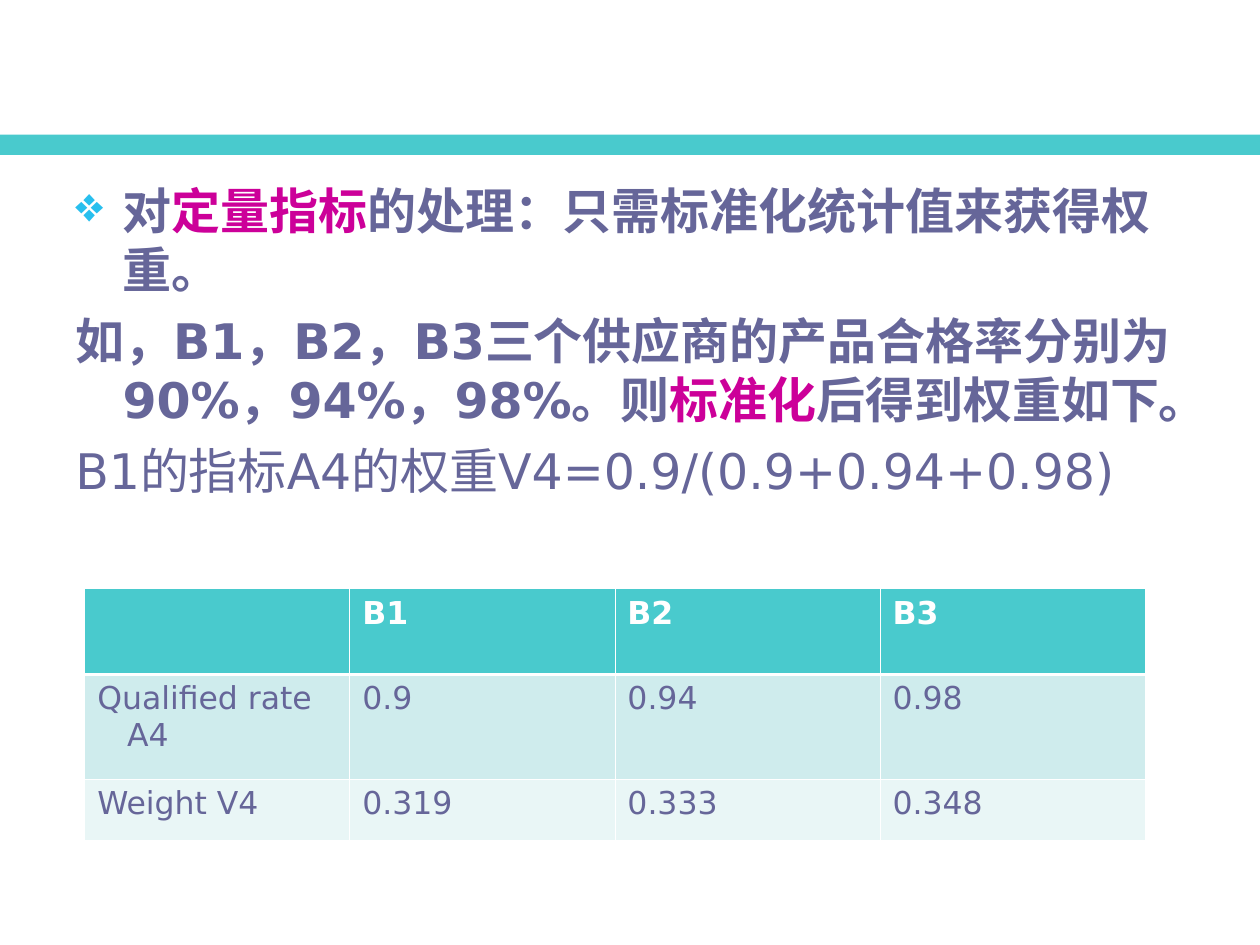
import dataclasses

import lxml.etree
import pptx
import pptx.dml.color
import pptx.enum.shapes
import pptx.oxml.ns
import pptx.util

Pt = pptx.util.Pt
qn = pptx.oxml.ns.qn


@dataclasses.dataclass(frozen=True)
class Theme:
    font: str = "DejaVu Sans"
    body: int = 28
    cell: int = 18
    ink: str = "666699"
    accent: str = "CC0099"
    teal: str = "49CACD"
    bullet: str = "28BFEE"
    white: str = "FFFFFF"
    bands: tuple = ("49CACD", "CFECED", "E9F6F6")
    thin: float = 0.45
    thick: float = 1.47


def rgb(color):
    return pptx.dml.color.RGBColor.from_string(color)


def add(parent, tag, **attrs):
    return lxml.etree.SubElement(parent, qn(tag), **attrs)


def add_color(parent, color):
    add(parent, "a:srgbClr", val=color)


class Painter:
    def __init__(self, slide, theme):
        self.slide = slide
        self.theme = theme

    def style(self, font, size, color, bold):
        font.name = self.theme.font
        font.size = Pt(size)
        font.color.rgb = rgb(color)
        font.bold = bold

    def hang(self, para, depth):
        props = para._p.get_or_add_pPr()
        props.set("marL", str(Pt(depth)))
        props.set("indent", str(-Pt(depth)))
        return props

    def bar(self, left, top, width, height):
        kind = pptx.enum.shapes.MSO_SHAPE.RECTANGLE
        shape = self.slide.shapes.add_shape(
            kind, Pt(left), Pt(top), Pt(width), Pt(height))
        shape.shadow.inherit = False
        shape.fill.solid()
        shape.fill.fore_color.rgb = rgb(self.theme.teal)
        shape.line.fill.background()

    def text(self, left, top, width, height, paras):
        box = self.slide.shapes.add_textbox(
            Pt(left), Pt(top), Pt(width), Pt(height))
        frame = box.text_frame
        frame.word_wrap = True
        for index, (mark, bold, runs) in enumerate(paras):
            para = frame.add_paragraph() if index else frame.paragraphs[0]
            props = self.hang(para, 27)
            if mark:
                add_color(add(props, "a:buClr"), self.theme.bullet)
                add(props, "a:buChar", char=mark)
            else:
                add(props, "a:buNone")
            para.space_before = Pt(7 if index else 0)
            self.style(para.font, self.theme.body, self.theme.ink, bold)
            for words, accent in runs:
                run = para.add_run()
                run.text = words
                if accent:
                    run.font.color.rgb = rgb(self.theme.accent)

    def border(self, cell, row):
        props = cell._tc.get_or_add_tcPr()
        for side in "LRTB":
            heavy = (row, side) in ((0, "B"), (1, "T"))
            width = self.theme.thick if heavy else self.theme.thin
            line = add(props, "a:ln" + side, w=str(Pt(width)))
            add_color(add(line, "a:solidFill"), self.theme.white)

    def table(self, left, top, width, heights, rows):
        count = len(rows[0])
        table = self.slide.shapes.add_table(
            len(rows), count, Pt(left), Pt(top),
            Pt(width), Pt(sum(heights))).table
        for column in table.columns:
            column.width = Pt(width / count)
        for r, (height, values) in enumerate(zip(heights, rows)):
            table.rows[r].height = Pt(height)
            color = self.theme.ink if r else self.theme.white
            for c, value in enumerate(values):
                cell = table.cell(r, c)
                self.border(cell, r)
                cell.fill.solid()
                cell.fill.fore_color.rgb = rgb(self.theme.bands[r])
                cell.text = value
                para = cell.text_frame.paragraphs[0]
                if c == 0:
                    self.hang(para, 17)
                self.style(para.font, self.theme.cell, color, r == 0)


def main():
    deck = pptx.Presentation()
    deck.slide_width, deck.slide_height = Pt(720), Pt(540)
    slide = deck.slides.add_slide(deck.slide_layouts[6])
    paint = Painter(slide, Theme())
    paint.bar(0, 77, 720, 11.5)
    paint.text(36, 99.5, 648, 413, [
        ("❖", True, [
            ("对", False),
            ("定量指标", True),
            ("的处理：只需标准化统计值来获得权重。", False)]),
        (None, True, [
            ("如，B1，B2，B3三个供应商的产品合格率分别为90%，94%，98%。则", False),
            ("标准化", True),
            ("后得到权重如下。", False)]),
        (None, False, [
            ("B1的指标A4的权重V4=0.9/(0.9+0.94+0.98)", False)]),
    ])
    paint.table(48.4, 336.4, 606, [49, 60, 35], [
        ["", "B1", "B2", "B3"],
        ["Qualified rate A4", "0.9", "0.94", "0.98"],
        ["Weight V4", "0.319", "0.333", "0.348"],
    ])
    deck.save("out.pptx")


if __name__ == "__main__":
    main()
